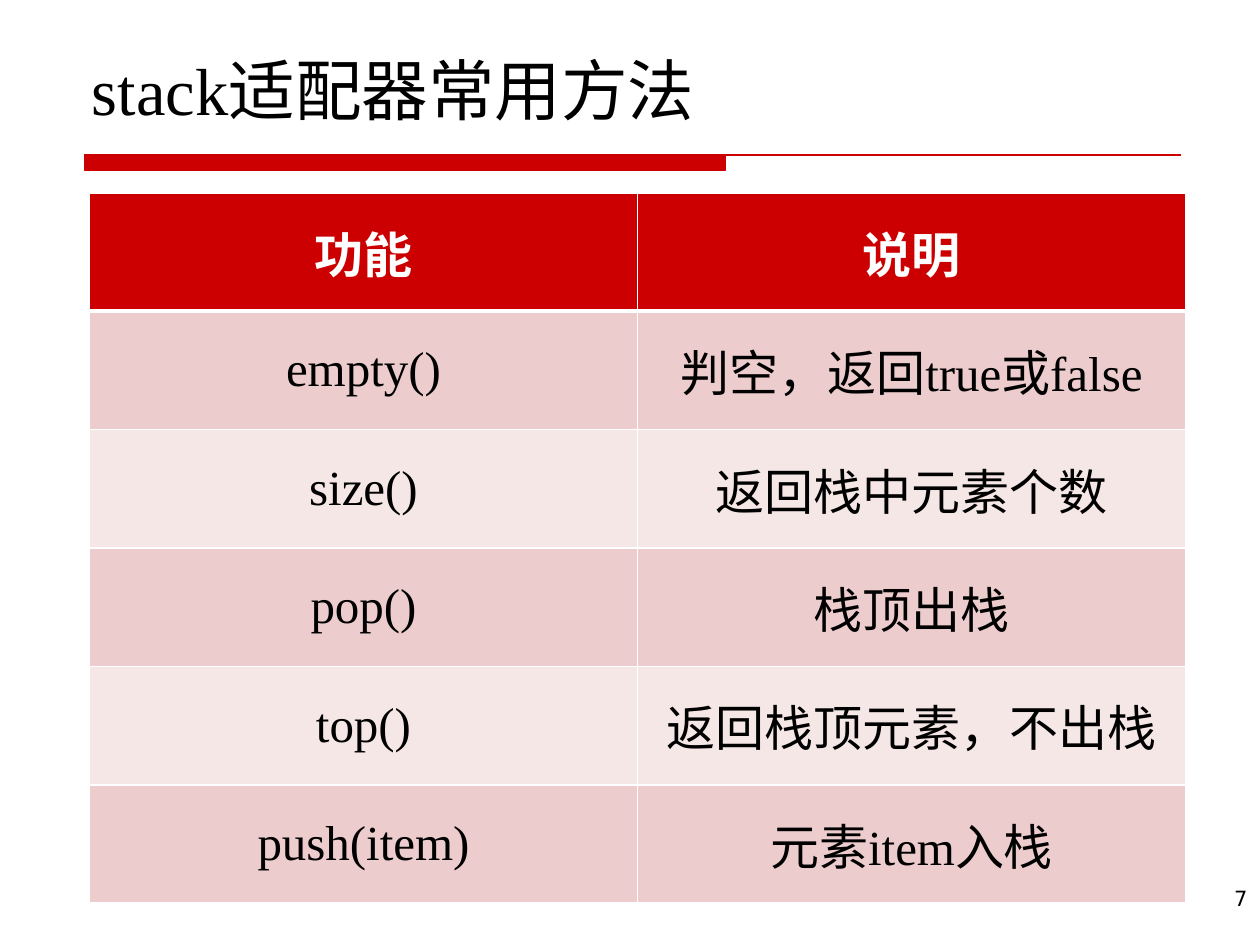
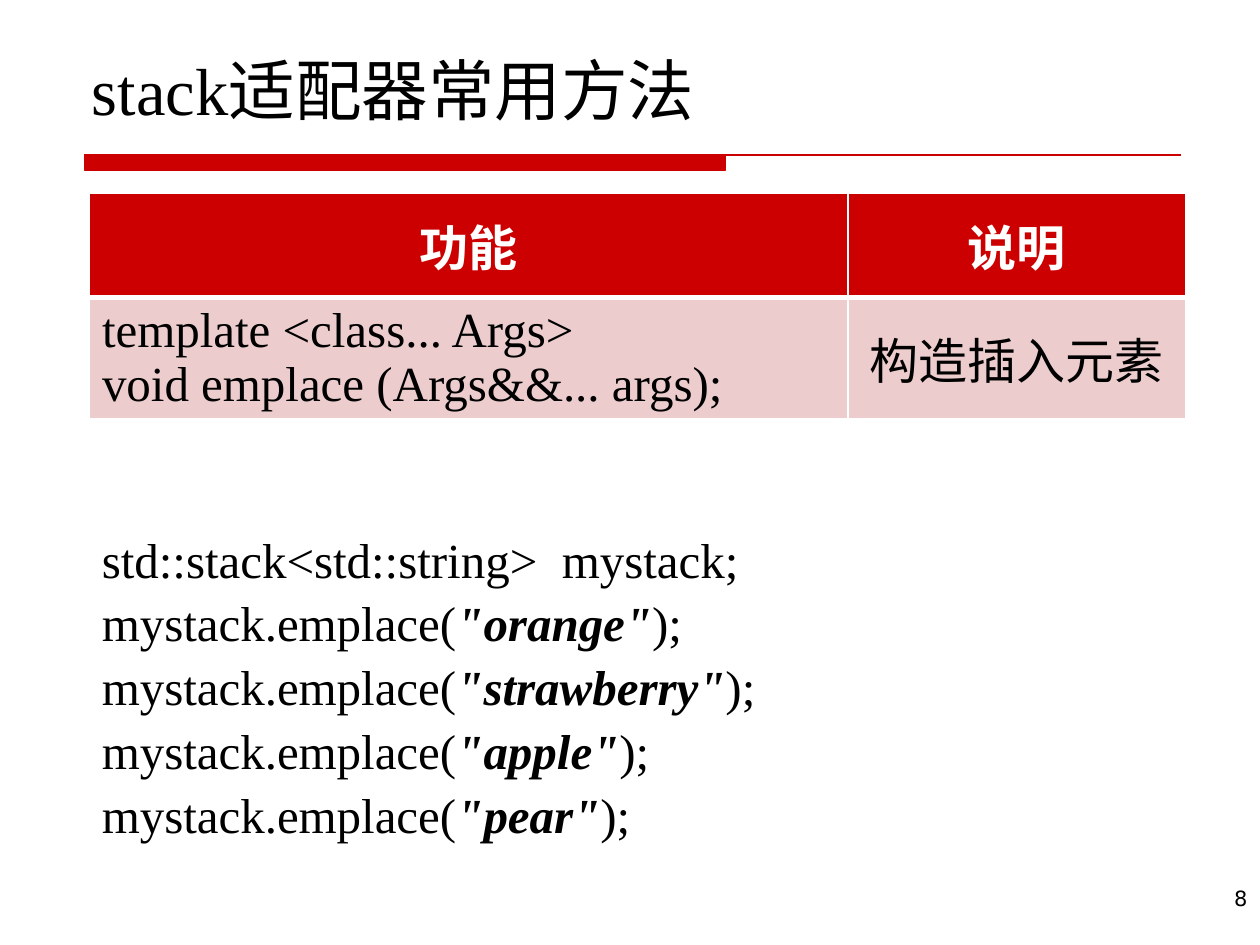
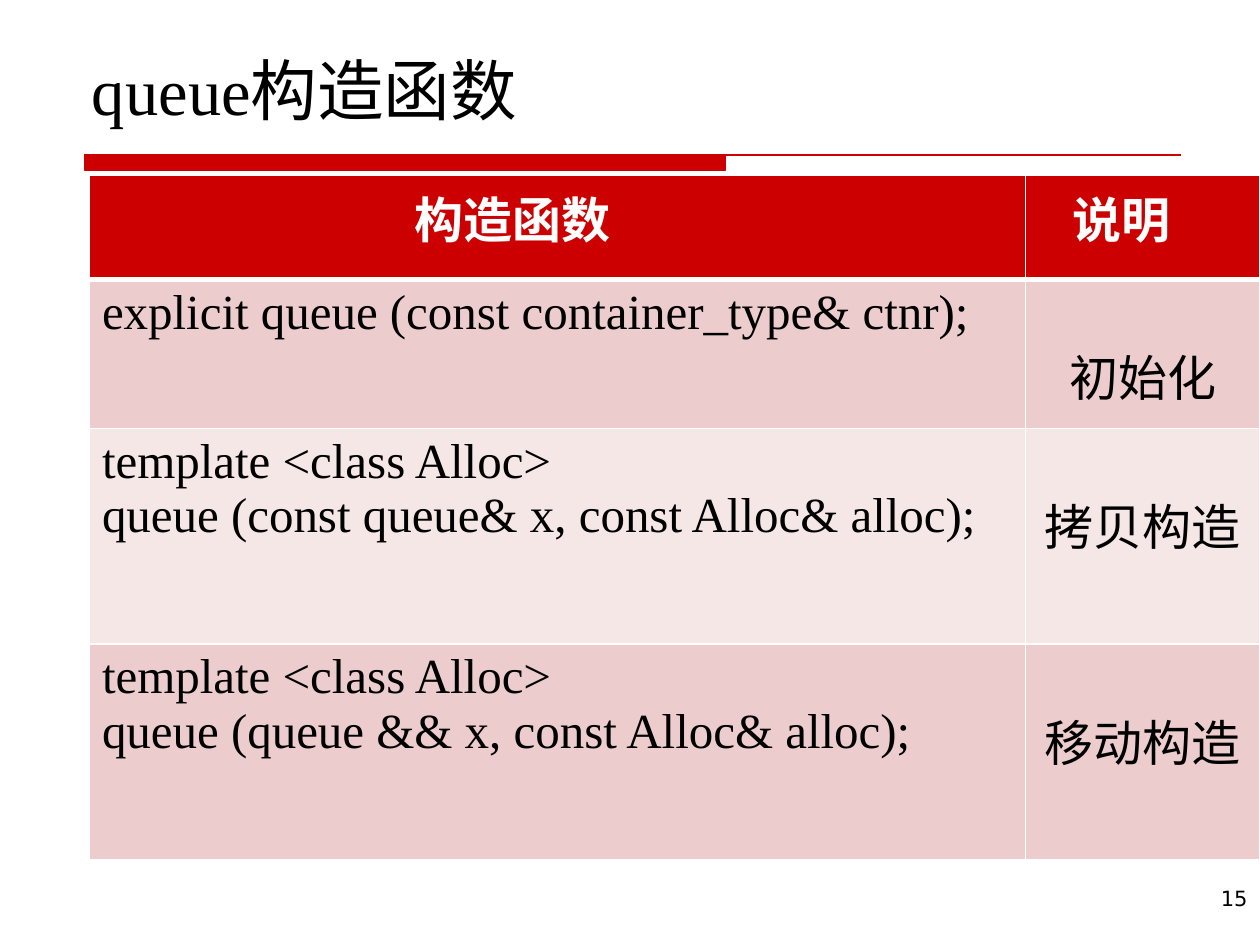
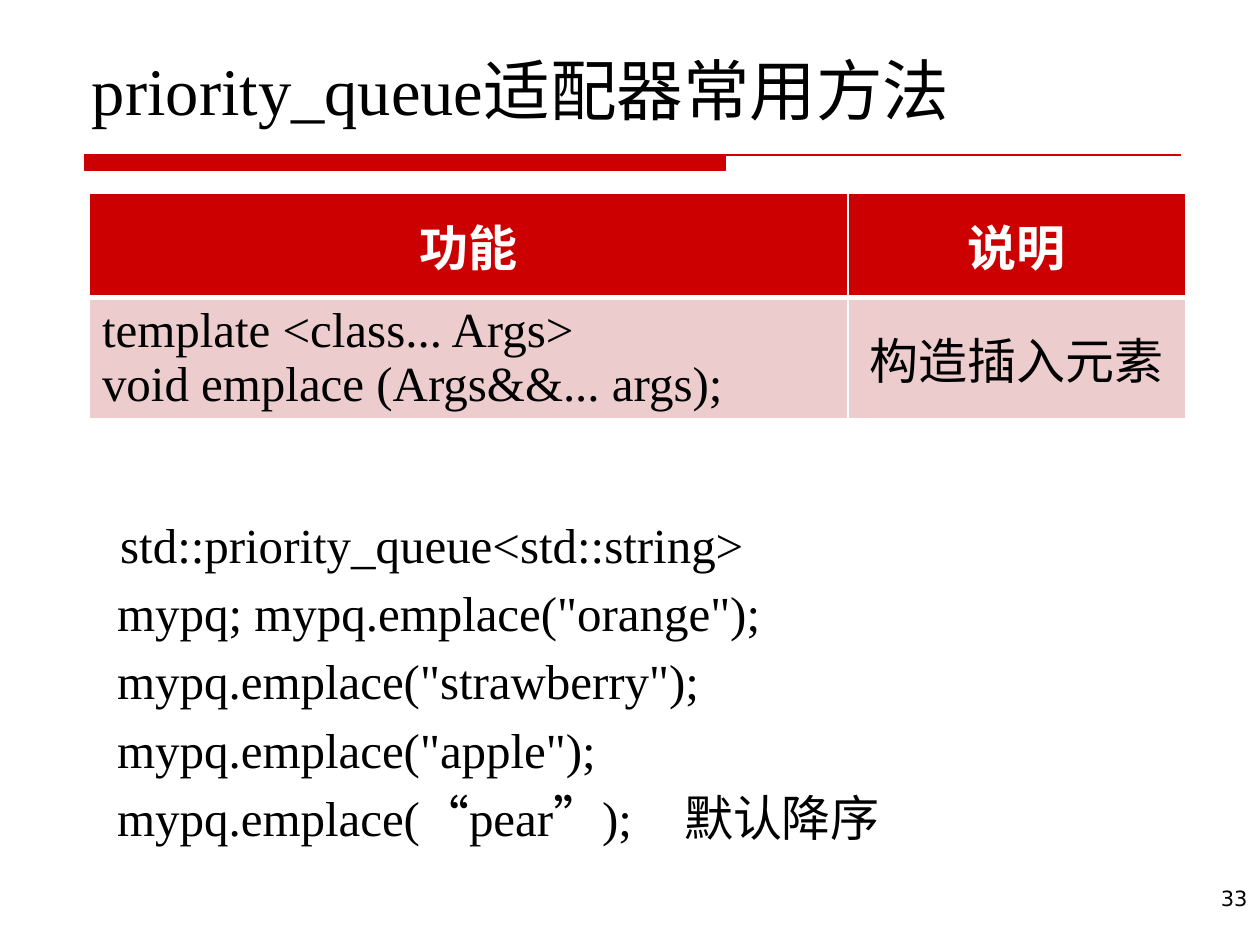
"""Build four slides on the C++ container adapters stack, queue and priority_queue."""
import lxml.etree
import pptx
import pptx.dml.color
import pptx.enum.lang
import pptx.enum.text
import pptx.oxml.ns
import pptx.util

PX = 9144
COLORS = {
    "accent": "CC0000",
    "band_dark": "ECCCCC",
    "band_light": "F6E7E7",
    "white": "FFFFFF",
    "ink": "000000",
}
SERIF, SANS = "Times New Roman", "DejaVu Sans"
LEFT = pptx.enum.text.PP_ALIGN.LEFT
CENTER = pptx.enum.text.PP_ALIGN.CENTER
RIGHT = pptx.enum.text.PP_ALIGN.RIGHT
TOP = pptx.enum.text.MSO_ANCHOR.TOP
MIDDLE = pptx.enum.text.MSO_ANCHOR.MIDDLE
BOTTOM = pptx.enum.text.MSO_ANCHOR.BOTTOM
CHINESE = pptx.enum.lang.MSO_LANGUAGE_ID.SIMPLIFIED_CHINESE


def px(length):
    return pptx.util.Emu(length * PX)


def color(name):
    return pptx.dml.color.RGBColor.from_string(COLORS[name])


def add_element(parent, tag, **attributes):
    element = lxml.etree.SubElement(parent, pptx.oxml.ns.qn(tag))
    for name, value in attributes.items():
        element.set(name, str(value))
    return element


class Deck:
    def __init__(self):
        self.presentation = pptx.Presentation()
        self.presentation.slide_width = px(1000)
        self.presentation.slide_height = px(750)
        self.slide = None

    def start(self, title, number, layout="Title Only"):
        layouts = self.presentation.slide_layouts
        self.slide = self.presentation.slides.add_slide(layouts.get_by_name(layout))
        self.rule()
        self.page_number(number)
        frame = self.place(self.slide.shapes.title, 63, 33, 875, 74)
        frame.vertical_anchor = BOTTOM
        paragraph = frame.paragraphs[0]
        paragraph.alignment = LEFT
        self.run(paragraph, title, size=38)

    def place(self, shape, left, top, width, height):
        shape.left, shape.top = px(left), px(top)
        shape.width, shape.height = px(width), px(height)
        frame = shape.text_frame
        frame.word_wrap = True
        frame.auto_size = pptx.enum.text.MSO_AUTO_SIZE.NONE
        return frame

    def text_box(self, left, top, width, height):
        shape = self.slide.shapes.add_textbox(0, 0, 0, 0)
        return self.place(shape, left, top, width, height)

    def run(self, paragraph, text, size=28, font=SERIF, ink="ink", bold=False, italic=False):
        run = paragraph.add_run()
        run.text = text
        run.font.size = pptx.util.Pt(size)
        run.font.name = font
        run.font.bold = bold
        run.font.italic = italic
        run.font.color.rgb = color(ink)
        run.font.language_id = CHINESE

    def rule(self):
        builder = self.slide.shapes.build_freeform(67, 123, scale=PX)
        builder.add_line_segments([(576, 123), (576, 135), (67, 135)], close=True)
        builder.move_to(67, 123)
        builder.add_line_segments([(937, 123)], close=False)
        shape = builder.convert_to_shape()
        shape.shadow.inherit = False
        shape.fill.solid()
        shape.fill.fore_color.rgb = color("accent")
        shape.line.color.rgb = color("accent")
        shape.line.width = pptx.util.Pt(0.75)

    def page_number(self, number):
        paragraph = self.text_box(786, 698, 214, 52).paragraphs[0]
        paragraph.alignment = RIGHT
        self.run(paragraph, str(number), size=12, font=SANS)

    def code(self, frame, lines, gap, margin_top):
        frame.margin_top = px(margin_top)
        for index, runs in enumerate(lines):
            paragraph = frame.paragraphs[0] if index == 0 else frame.add_paragraph()
            paragraph.alignment = LEFT
            paragraph.space_before = pptx.util.Pt(gap if index else 0)
            properties = paragraph._p.get_or_add_pPr()
            properties.set("marL", "0")
            properties.set("indent", "0")
            add_element(properties, "a:buNone")
            if any("\t" in text for text, _ in runs):
                tabs = add_element(properties, "a:tabLst")
                add_element(tabs, "a:tab", pos=px(562), algn="l")
            for text, style in runs:
                self.run(paragraph, text, **style)

    def table(self, top, widths, heights, rows, alignments, anchor=MIDDLE):
        frame = self.slide.shapes.add_table(
            len(rows), len(widths), px(71), px(top), px(sum(widths)), px(sum(heights)))
        table = frame.table
        table.horz_banding = False
        for column, width in zip(table.columns, widths):
            column.width = px(width)
        for index, (height, texts) in enumerate(zip(heights, rows)):
            table.rows[index].height = px(height)
            for column, text in enumerate(texts):
                alignment = alignments[column] if index else CENTER
                self.cell(table.cell(index, column), text, index, alignment, anchor)
        return table

    def cell(self, cell, text, row, alignment, anchor):
        header = row == 0
        fill = "accent" if header else "band_dark" if row % 2 else "band_light"
        cell.vertical_anchor = anchor
        frame = cell.text_frame
        for index, line in enumerate(text.split("\n")):
            paragraph = frame.paragraphs[0] if index == 0 else frame.add_paragraph()
            paragraph.alignment = alignment
            self.run(paragraph, line, ink="white" if header else "ink", bold=header)
        properties = cell._tc.get_or_add_tcPr()
        for side in "LRTB":
            thick = (header and side == "B") or (row == 1 and side == "T")
            border = add_element(properties, "a:ln" + side, w=pptx.util.Pt(3 if thick else 1))
            solid = add_element(border, "a:solidFill")
            add_element(solid, "a:srgbClr", val=COLORS["white"])
        cell.fill.solid()
        cell.fill.fore_color.rgb = color(fill)

    def emplace_table(self):
        rows = [
            ("功能", "说明"),
            ("template <class... Args>\nvoid emplace (Args&&... args);", "构造插入元素"),
        ]
        self.table(153, (602, 268), (83, 95), rows, (LEFT, CENTER))


def stack_methods(deck):
    deck.start("stack适配器常用方法", 7)
    rows = [
        ("功能", "说明"),
        ("empty()", "判空，返回true或false"),
        ("size()", "返回栈中元素个数"),
        ("pop()", "栈顶出栈"),
        ("top()", "返回栈顶元素，不出栈"),
        ("push(item)", "元素item入栈"),
    ]
    deck.table(153, (435, 435), [94] * len(rows), rows, (CENTER, CENTER))


def stack_emplace(deck):
    deck.start("stack适配器常用方法", 8)
    deck.emplace_table()
    lines = [[("std::stack<std::string>  mystack;", {})]]
    for fruit in ("orange", "strawberry", "apple", "pear"):
        lines.append([
            ("mystack.emplace(", {}),
            (f'"{fruit}"', {"bold": True, "italic": True}),
            (");", {}),
        ])
    deck.code(deck.text_box(71, 411, 867, 246), lines, gap=2.8, margin_top=9)


def queue_constructors(deck):
    deck.start("queue构造函数", 15)
    rows = [
        ("构造函数", "说明"),
        ("explicit queue (const container_type& ctnr);", "初始化"),
        ("template <class Alloc>\nqueue (const queue& x, const Alloc& alloc);", "拷贝构造"),
        ("template <class Alloc>\nqueue (queue && x, const Alloc& alloc);", "移动构造"),
    ]
    table = deck.table(139, (743, 186), (83, 118, 171, 171), rows, (LEFT, CENTER), TOP)
    for column, margin in enumerate((258, 37)):
        header = table.cell(0, column)
        header.margin_left = px(margin)
        header.text_frame.paragraphs[0].alignment = LEFT
    for row in range(1, len(rows)):
        table.cell(row, 1).margin_top = px(48)


def priority_queue_emplace(deck):
    deck.start("priority_queue适配器常用方法", 33, "Title and Content")
    frame = deck.place(deck.slide.placeholders[1], 83, 383, 917, 244)
    lines = [
        [(" ", {"size": 7}), ("std::priority_queue<std::string>", {})],
        [('mypq; mypq.emplace("orange");', {})],
        [('mypq.emplace("strawberry");', {})],
        [('mypq.emplace("apple");', {})],
        [("mypq.emplace(“pear”);\t默认降序", {})],
    ]
    deck.code(frame, lines, gap=5.4, margin_top=25)
    deck.emplace_table()


def main():
    deck = Deck()
    stack_methods(deck)
    stack_emplace(deck)
    queue_constructors(deck)
    priority_queue_emplace(deck)
    deck.presentation.save("out.pptx")


if __name__ == "__main__":
    main()
